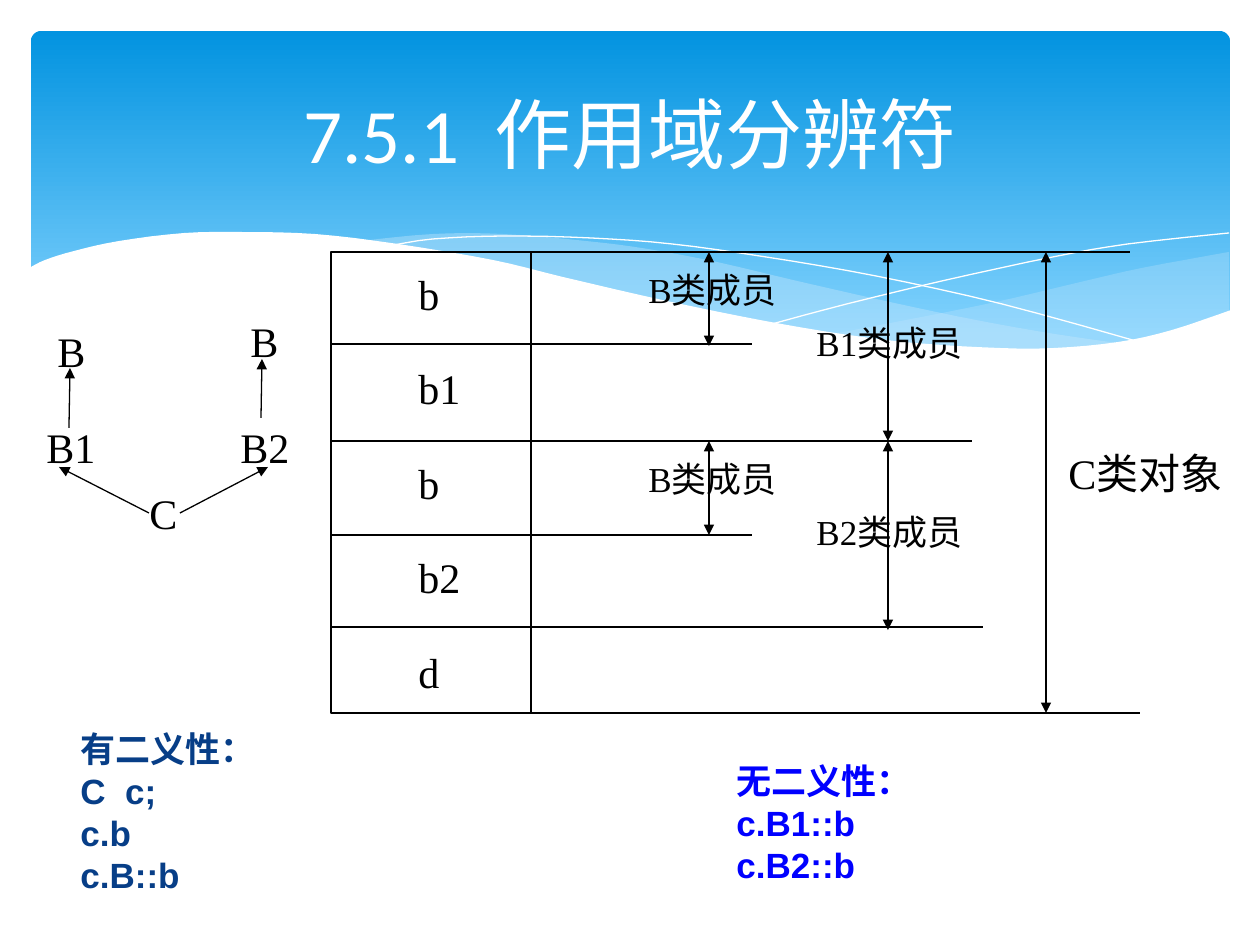
import pptx
import pptx.util
import pptx.dml.color
import pptx.enum.shapes
import pptx.enum.text
import pptx.oxml
import pptx.oxml.ns

SCALE = 914400 / 126
FINE = 10
COLORS = {"sky": "0293E0", "pale": "83D3FE", "mist": "C6E7FC", "white": "FFFFFF",
          "black": "000000", "navy": "073E87", "blue": "0000FF"}

WAVE = [(29, 268), (45, 260), (74, 251), (119, 241), (184, 233), (243, 232), (315, 234),
        (398, 244), (493, 260), (563, 277), (667, 301), (760, 320), (842, 334), (915, 343),
        (1000, 348), (1054, 348), (1118, 342), (1172, 330), (1231, 310)]
RIGHT_BAND_TOP = [(1229, 252), (1142, 268), (1085, 281), (982, 305), (833, 334)]
RIGHT_BAND_BOTTOM = [(833, 334), (906, 342), (969, 348), (1026, 350), (1076, 348),
                     (1130, 340), (1178, 330), (1229, 311)]
LONG_BAND_TOP = [(1125, 344), (1055, 334), (976, 320), (890, 302), (793, 280), (717, 262),
                 (648, 249), (586, 241), (503, 234), (433, 234), (360, 241)]
LONG_BAND_BOTTOM = [(360, 241), (431, 251), (509, 266), (566, 280), (668, 302), (757, 321),
                    (838, 335), (910, 345), (974, 349), (1031, 350), (1092, 348), (1125, 344)]
FALLING_THREAD = [(389, 246), (433, 239), (505, 236), (591, 238), (672, 244), (766, 257),
                  (876, 276), (1002, 304), (1143, 343)]
RISING_THREAD = [(772, 324), (847, 304), (942, 281), (1053, 257), (1128, 244), (1229, 233)]


def px(value):
    return pptx.util.Emu(round(value * SCALE))


def rgb(name):
    return pptx.dml.color.RGBColor.from_string(COLORS[name])


def smooth(points, steps=4):
    padded = [points[0]] + points + [points[-1]]
    curve = [points[0]]
    for a, b, c, d in zip(padded, padded[1:], padded[2:], padded[3:]):
        for step in range(1, steps + 1):
            t = step / steps
            curve.append(tuple(
                (2 * q + (r - p) * t + (2 * p - 5 * q + 4 * r - s) * t ** 2
                 + (3 * q - p - 3 * r + s) * t ** 3) / 2
                for p, q, r, s in zip(a, b, c, d)))
    return curve


def add_outline(slide, points, fill=None, alpha=None, line=None, width=0.0, closed=False):
    points = [(round(x * FINE), round(y * FINE)) for x, y in points]
    builder = slide.shapes.build_freeform(*points[0], scale=SCALE / FINE)
    builder.add_line_segments(points[1:], close=closed)
    shape = builder.convert_to_shape()
    shape.shadow.inherit = False
    if fill:
        shape.fill.solid()
        shape.fill.fore_color.rgb = rgb(fill)
    else:
        shape.fill.background()
    if alpha:
        color = shape.element.spPr.find(".//" + pptx.oxml.ns.qn("a:srgbClr"))
        pptx.oxml.ns.qn("a:alpha")
        color.append(pptx.oxml.parse_xml(
            f'<a:alpha {pptx.oxml.ns.nsdecls("a")} val="{alpha * 1000}"/>'))
    if line:
        shape.line.color.rgb = rgb(line)
        shape.line.width = pptx.util.Pt(width)
    else:
        shape.line.fill.background()


def add_line(slide, start, end, arrows=()):
    line = slide.shapes.add_connector(
        pptx.enum.shapes.MSO_CONNECTOR.STRAIGHT, *map(px, start + end))
    line.line.color.rgb = rgb("black")
    line.line.width = pptx.util.Pt(0.75)
    namespace = pptx.oxml.ns.nsdecls("a")
    for arrow in arrows:
        line.line._get_or_add_ln().append(
            pptx.oxml.parse_xml(f'<a:{arrow} {namespace} type="triangle"/>'))
    line.element.spPr.append(pptx.oxml.parse_xml(f"<a:effectLst {namespace}/>"))


def add_run(paragraph, text, size, font, color, bold=False):
    run = paragraph.add_run()
    run.text = text
    run.font.size = pptx.util.Pt(size)
    run.font.name = font
    run.font.bold = bold
    run.font.color.rgb = rgb(color)


def add_text(slide, box, lines, size=24, font="Times New Roman", color="black",
             bold=False, wrap=True):
    frame = slide.shapes.add_textbox(*map(px, box)).text_frame
    frame.word_wrap = wrap
    for index, text in enumerate(lines):
        paragraph = frame.add_paragraph() if index else frame.paragraphs[0]
        add_run(paragraph, text, size, font, color, bold)


def add_backdrop(slide):
    panel = slide.shapes.add_shape(
        pptx.enum.shapes.MSO_SHAPE.ROUNDED_RECTANGLE, *map(px, (31, 31, 1199, 340)))
    panel.adjustments[0] = 0.03
    panel.shadow.inherit = False
    panel.line.fill.background()
    panel.fill.gradient()
    panel.fill.gradient_angle = 270
    for stop, color, position in zip(panel.fill.gradient_stops, ("sky", "pale"), (0, 0.9)):
        stop.color.rgb = rgb(color)
        stop.position = position
    for top, bottom, alpha in ((RIGHT_BAND_TOP, RIGHT_BAND_BOTTOM, 29),
                               (LONG_BAND_TOP, LONG_BAND_BOTTOM, 40)):
        add_outline(slide, smooth(top) + smooth(bottom), "mist", alpha, closed=True)
    for thread in (FALLING_THREAD, RISING_THREAD):
        add_outline(slide, smooth(thread), line="white")
    add_outline(slide, smooth(WAVE) + [(1231, 414), (29, 414)], "white", closed=True)


def add_title(slide, text):
    title = slide.shapes.title
    title.left, title.top, title.width, title.height = map(px, (63, 47, 1134, 172))
    title.text_frame.vertical_anchor = pptx.enum.text.MSO_ANCHOR.MIDDLE
    paragraph = title.text_frame.paragraphs[0]
    paragraph.alignment = pptx.enum.text.PP_ALIGN.CENTER
    add_run(paragraph, text, 44, "Calibri", "white")
    title.element.getparent().append(title.element)


def add_memory_layout(slide):
    left, top, bottom = 331, 252, 713
    add_outline(slide, [(1130, top), (left, top), (left, bottom), (1140, bottom)],
                line="black", width=0.75)
    add_line(slide, (531, top), (531, bottom))
    for y, right in ((344, 752), (441, 972), (535, 752), (627, 983)):
        add_line(slide, (left, y), (right, y))
    for row, member in enumerate(("b", "b1", "b", "b2", "d")):
        add_text(slide, (406, 262 + 94.5 * row, 73, 63), [member])
    for x, start, end in ((709, top, 346), (709, 441, 535), (888, top, 441),
                          (888, 441, 630), (1046, top, bottom)):
        add_line(slide, (x, start), (x, end), ("headEnd", "tailEnd"))
    for x, y, label in ((636, 262, "B类成员"), (636, 451, "B类成员"),
                        (804, 315, "B1类成员"), (804, 504, "B2类成员")):
        add_text(slide, (x, y, 220, 54), [label], size=20)
    add_text(slide, (1056, 441, 189, 63), ["C类对象"])


def add_class_tree(slide):
    for x, y, name in ((45, 319, "B"), (238, 309, "B"), (34, 415, "B1"),
                       (228, 415, "B2"), (137, 481, "C")):
        add_text(slide, (x, y, 53 if len(name) == 1 else 74, 63), [name], wrap=False)
    for start, end in (((180, 513), (268, 467)), ((149, 513), (59, 467)),
                       ((261, 418), (262, 359)), ((69, 428), (70, 368))):
        add_line(slide, start, end, ("tailEnd",))


def main():
    presentation = pptx.Presentation()
    presentation.slide_width, presentation.slide_height = px(1260), px(945)
    slide = presentation.slides.add_slide(presentation.slide_layouts[5])
    add_backdrop(slide)
    add_title(slide, "7.5.1  作用域分辨符")
    add_memory_layout(slide)
    add_text(slide, (68, 721, 251, 164), ["有二义性：", "C  c;", "c.b", "c.B::b"],
             20, "Arial", "navy", bold=True)
    add_text(slide, (724, 753, 248, 140), ["无二义性：", "c.B1::b", "c.B2::b"],
             20, "Arial", "blue", bold=True)
    add_class_tree(slide)
    presentation.save("out.pptx")


main()
